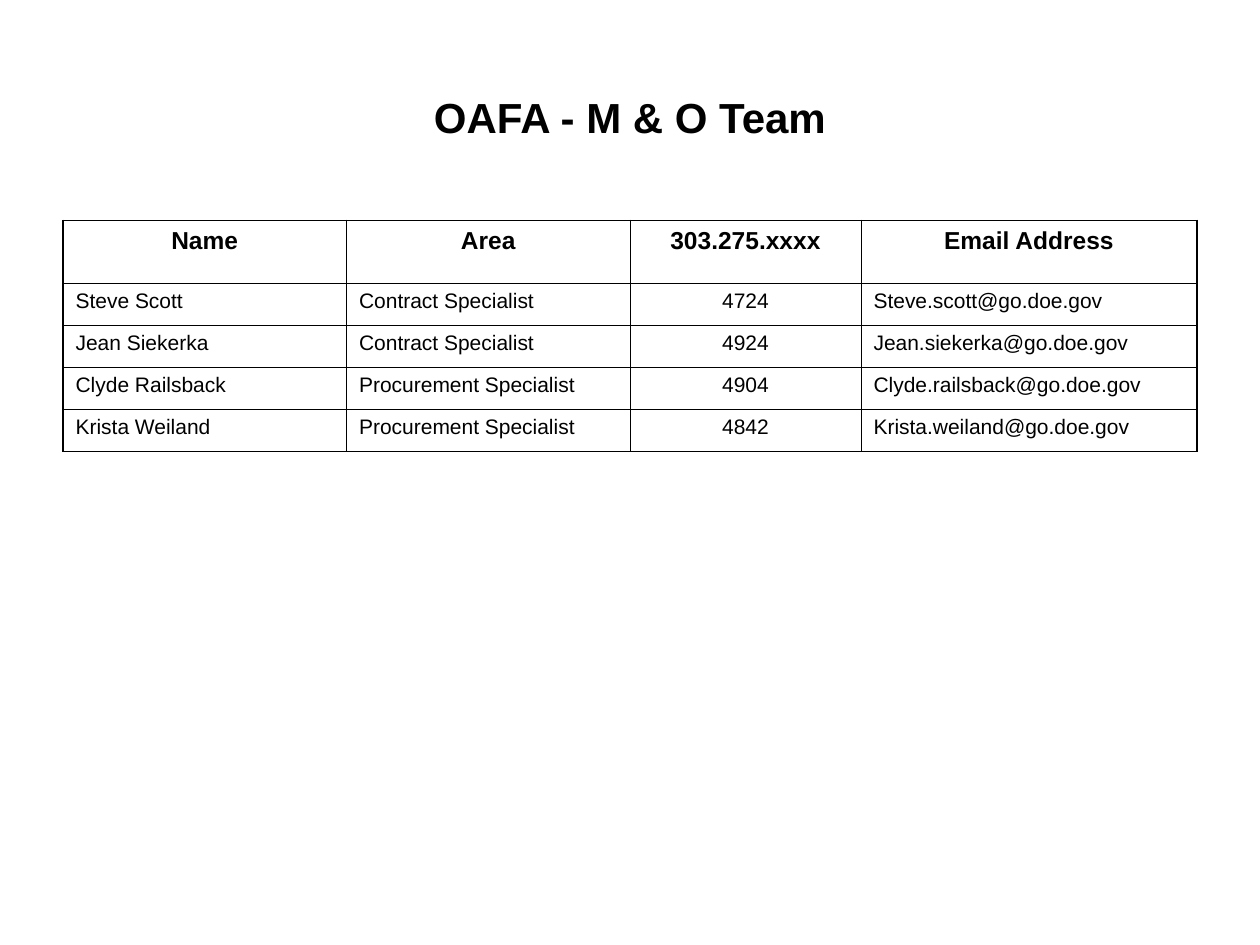
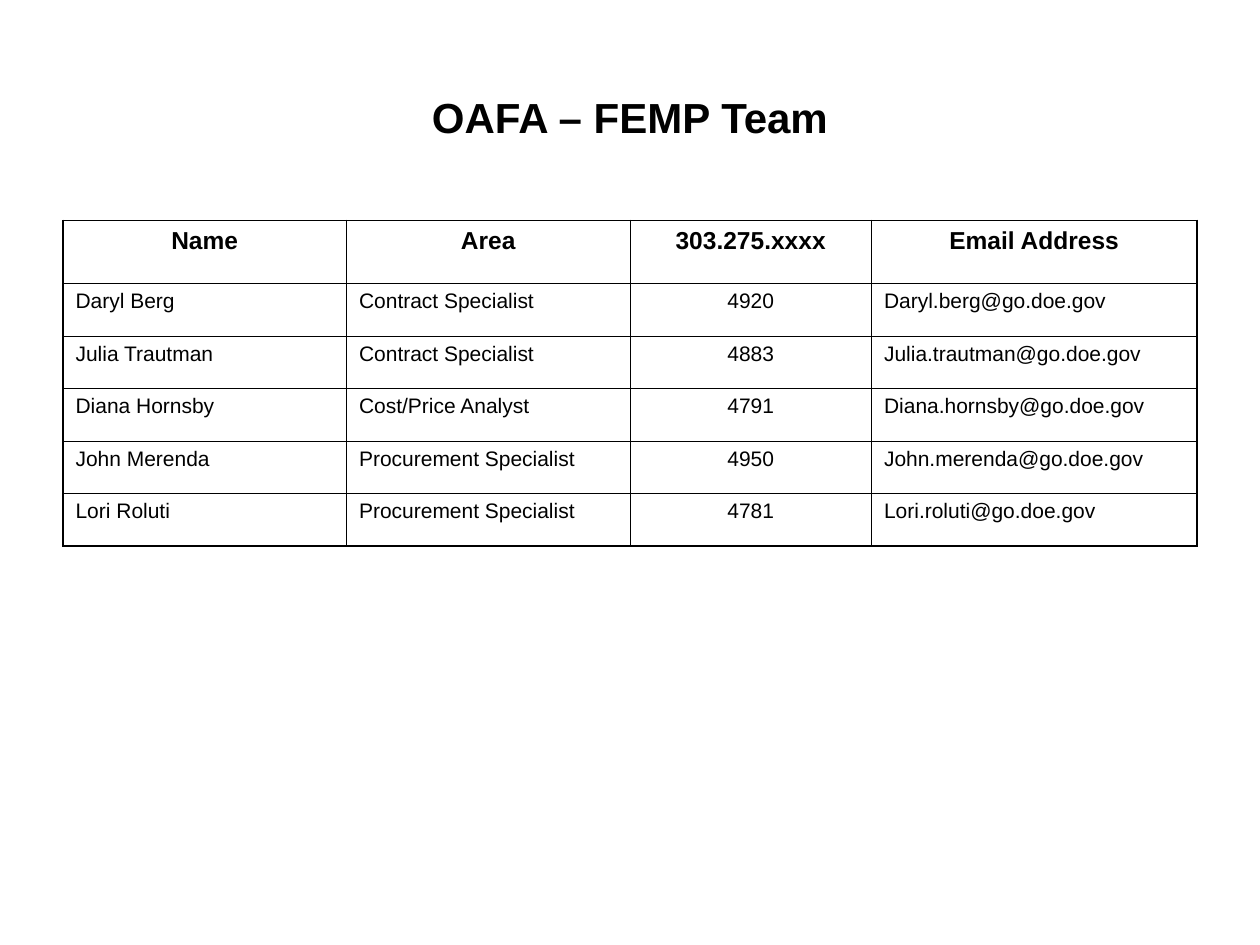
import pptx
import pptx.dml.color
import pptx.enum.text
import pptx.oxml
import pptx.oxml.ns
import pptx.util

EMU_PER_PX = 9525
COLOURS = {"ink": "000000"}
ALIGN = pptx.enum.text.PP_ALIGN
ANCHOR = pptx.enum.text.MSO_ANCHOR
TITLE_FONT = {"name": "Arial", "size": pptx.util.Pt(24), "bold": True}
HEADER_FONT = {"name": "Arial", "size": pptx.util.Pt(14), "bold": True}
BODY_FONT = {"name": "Arial", "size": pptx.util.Pt(12), "bold": False}
OUTER_LINE = pptx.util.Pt(1.08)
INNER_LINE = pptx.util.Pt(0.45)
TITLE_AREA = (48, 29, 864, 120)
TABLE_LEFT, TABLE_TOP = 48, 168
HEADER_HEIGHT = 48
PHONE_COLUMN = 2
HEADINGS = ("Name", "Area", "303.275.xxxx", "Email Address")

TEAMS = (
    {
        "title": "OAFA - M & O Team",
        "widths": (216, 216, 176, 256),
        "row_height": 32,
        "members": (
            ("Steve Scott", "Contract Specialist", "4724", "Steve.scott@go.doe.gov"),
            ("Jean Siekerka", "Contract Specialist", "4924", "Jean.siekerka@go.doe.gov"),
            ("Clyde Railsback", "Procurement Specialist", "4904", "Clyde.railsback@go.doe.gov"),
            ("Krista Weiland", "Procurement Specialist", "4842", "Krista.weiland@go.doe.gov"),
        ),
    },
    {
        "title": "OAFA – FEMP Team",
        "widths": (216, 216, 184, 248),
        "row_height": 40,
        "members": (
            ("Daryl Berg", "Contract Specialist", "4920", "Daryl.berg@go.doe.gov"),
            ("Julia Trautman", "Contract Specialist", "4883", "Julia.trautman@go.doe.gov"),
            ("Diana Hornsby", "Cost/Price Analyst", "4791", "Diana.hornsby@go.doe.gov"),
            ("John Merenda", "Procurement Specialist", "4950", "John.merenda@go.doe.gov"),
            ("Lori Roluti", "Procurement Specialist", "4781", "Lori.roluti@go.doe.gov"),
        ),
    },
)


def px(length):
    return pptx.util.Emu(length * EMU_PER_PX)


def set_attributes(target, values):
    for name, value in values.items():
        setattr(target, name, value)


def write_text(frame, text, font, alignment):
    para = frame.paragraphs[0]
    para.alignment = alignment
    span = para.add_run()
    span.text = text
    set_attributes(span.font, font)
    span.font.color.rgb = pptx.dml.color.RGBColor.from_string(COLOURS["ink"])


def add_title(page, text):
    box = page.shapes.title
    left, top, width, height = map(px, TITLE_AREA)
    set_attributes(box, {"left": left, "top": top, "width": width, "height": height})
    set_attributes(box.text_frame, {
        "word_wrap": True,
        "auto_size": pptx.enum.text.MSO_AUTO_SIZE.NONE,
        "vertical_anchor": ANCHOR.MIDDLE,
    })
    write_text(box.text_frame, text, TITLE_FONT, ALIGN.CENTER)


def draw_borders(cell, outer_sides):
    properties = cell._tc.get_or_add_tcPr()
    for side, is_outer in outer_sides.items():
        width = OUTER_LINE if is_outer else INNER_LINE
        properties.append(pptx.oxml.parse_xml(
            f'<a:ln{side} {pptx.oxml.ns.nsdecls("a")} w="{width}"><a:solidFill>'
            f'<a:srgbClr val="{COLOURS["ink"]}"/></a:solidFill></a:ln{side}>'
        ))


def add_team_table(page, team):
    rows = (HEADINGS,) + team["members"]
    widths = team["widths"]
    heights = [HEADER_HEIGHT] + [team["row_height"]] * len(team["members"])
    table = page.shapes.add_table(
        len(rows), len(widths), px(TABLE_LEFT), px(TABLE_TOP),
        px(sum(widths)), px(sum(heights)),
    ).table
    set_attributes(table, {"first_row": False, "horz_banding": False})
    for column, width in zip(table.columns, widths):
        column.width = px(width)
    for row_index, (values, height) in enumerate(zip(rows, heights)):
        table.rows[row_index].height = px(height)
        is_header = row_index == 0
        for column_index, value in enumerate(values):
            cell = table.cell(row_index, column_index)
            draw_borders(cell, {
                "L": column_index == 0,
                "R": column_index == len(widths) - 1,
                "T": is_header,
                "B": row_index == len(rows) - 1,
            })
            cell.fill.background()
            cell.vertical_anchor = ANCHOR.TOP
            centred = is_header or column_index == PHONE_COLUMN
            write_text(
                cell.text_frame, value, HEADER_FONT if is_header else BODY_FONT,
                ALIGN.CENTER if centred else ALIGN.LEFT,
            )


def main():
    deck = pptx.Presentation()
    set_attributes(deck, {"slide_width": px(960), "slide_height": px(720)})
    title_only = deck.slide_layouts.get_by_name("Title Only")
    for team in TEAMS:
        page = deck.slides.add_slide(title_only)
        add_title(page, team["title"])
        add_team_table(page, team)
    deck.save("out.pptx")


if __name__ == "__main__":
    main()
